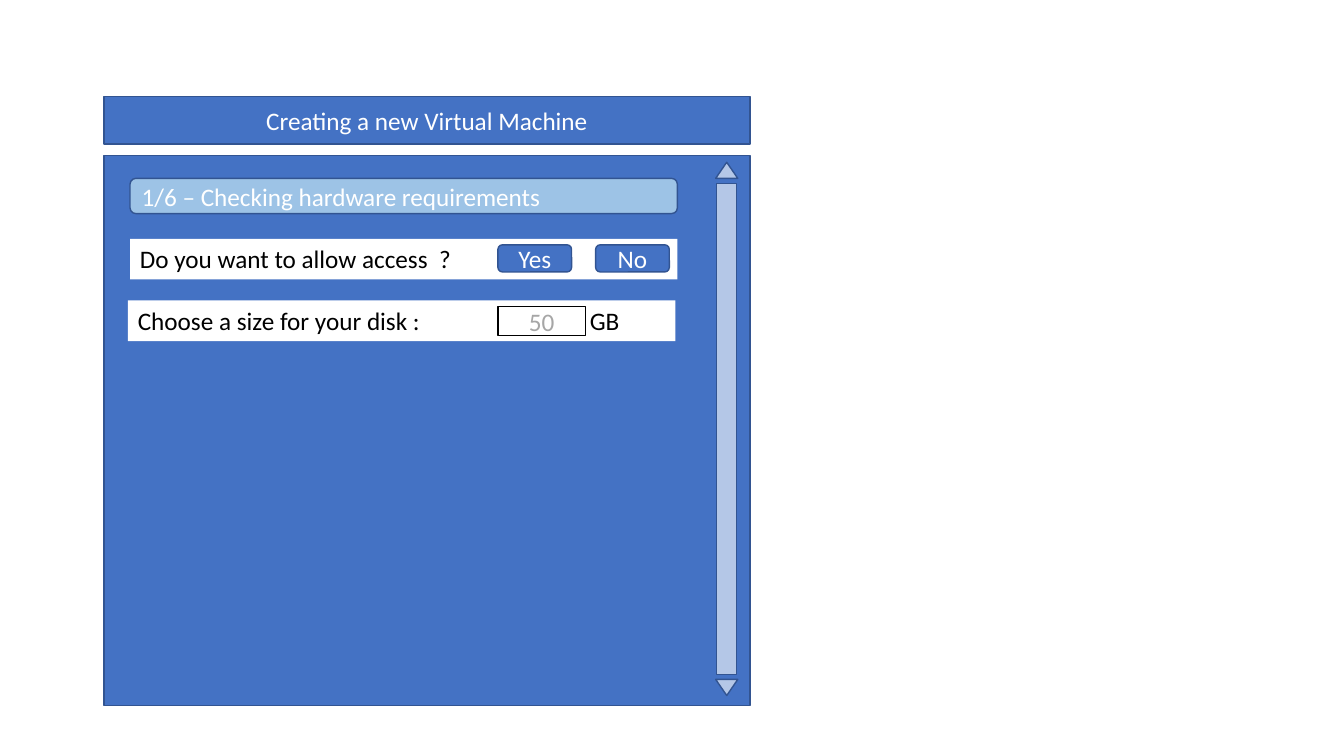
from lxml.etree import SubElement
from pptx import Presentation
from pptx.dml.color import RGBColor
from pptx.enum.shapes import MSO_SHAPE
from pptx.enum.text import MSO_ANCHOR, PP_ALIGN
from pptx.oxml.ns import qn
from pptx.util import Pt

BLUE = RGBColor(0x44, 0x72, 0xC4)
EDGE = RGBColor(0x32, 0x54, 0x91)
PALE = RGBColor(0xB4, 0xC7, 0xE7)
SKY = RGBColor(0x9D, 0xC3, 0xE6)
WHITE = RGBColor(0xFF, 0xFF, 0xFF)
BLACK = RGBColor(0, 0, 0)
GREY = RGBColor(0xA6, 0xA6, 0xA6)

RECT, ROUND = MSO_SHAPE.RECTANGLE, MSO_SHAPE.ROUNDED_RECTANGLE
ROW_H = 29


def add_box(slide, kind, box, fill, edge=EDGE):
    """Add a filled shape at box: left, top, width, height in points."""
    shape = slide.shapes.add_shape(kind, *map(Pt, box))
    shape.shadow.inherit = False
    shape.fill.solid()
    shape.fill.fore_color.rgb = fill
    if edge is None:
        shape.line.fill.background()
    else:
        shape.line.color.rgb = edge
        shape.line.width = Pt(1)
    return shape


def add_text(shape, text, color=WHITE, align=PP_ALIGN.CENTER,
             anchor=MSO_ANCHOR.MIDDLE):
    frame = shape.text_frame
    frame.word_wrap = True
    frame.vertical_anchor = anchor
    para = frame.paragraphs[0]
    para.alignment = align
    run = para.add_run()
    run.text = text
    run.font.name = "Calibri"
    run.font.size = Pt(18)
    run.font.color.rgb = color
    return para


def add_row(slide, box, text):
    """Add a white form row with its label at the top left."""
    row = add_box(slide, RECT, box, WHITE, None)
    return add_text(row, text, BLACK, PP_ALIGN.LEFT, MSO_ANCHOR.TOP)


def set_tab(para, pos):
    props = para._p.get_or_add_pPr()
    tabs = SubElement(props, qn("a:tabLst"))
    SubElement(tabs, qn("a:tab"), pos=str(Pt(pos)), algn="l")


def add_scroll(slide, box):
    """Add a scroll bar: a track between an up and a down arrow."""
    left, top, width, height = box
    tip = 11.5
    gap = 3.6
    track = (left + 0.7, top + tip + gap, width - 1.4,
             height - 2 * (tip + gap))
    add_box(slide, RECT, track, PALE)
    for y, turn in ((top, 0), (top + height - tip, 180)):
        arrow = add_box(slide, MSO_SHAPE.ISOSCELES_TRIANGLE,
                        (left, y, width, tip), PALE)
        arrow.rotation = turn


def add_access(slide, box):
    """Add the access question with its two buttons."""
    left, top = box[:2]
    add_row(slide, box, "Do you want to allow access  ?")
    for i, word in enumerate(("Yes", "No")):
        spot = (left + 262.8 + i * 69.8, top + 4.3, 52.6, 19.4)
        add_text(add_box(slide, ROUND, spot, BLUE), word)


def add_disk(slide, box):
    """Add the disk size row with its entry field and unit."""
    left, top = box[:2]
    set_tab(add_row(slide, box, "Choose a size for your disk :\tGB"), 322.8)
    field = add_box(slide, RECT, (left + 264.3, top + 4.3, 62.6, 20.9),
                    WHITE, BLACK)
    add_text(field, "50", GREY)


def add_body(slide, box):
    left, top, width, height = box
    add_box(slide, RECT, box, BLUE)
    add_scroll(slide, (left + width - 24.5, top + 5, 15.8, height - 12.2))
    wide = 391
    step = add_box(slide, ROUND, (left + 18.7, top + 16.5, wide, 25.2), SKY)
    add_text(step, "1/6 – Checking hardware requirements",
             align=PP_ALIGN.LEFT)
    add_access(slide, (left + 18.7, top + 59.7, wide, ROW_H))
    add_disk(slide, (left + 17.2, top + 103.7, wide, ROW_H))


def add_window(slide, box):
    """Add the title bar and, below a gap, the body."""
    left, top, width, height = box
    bar = add_box(slide, RECT, (left, top, width, 33.8), BLUE)
    add_text(bar, "Creating a new Virtual Machine")
    drop = 41.8
    add_body(slide, (left, top + drop, width, height - drop))


def main():
    deck = Presentation()
    deck.slide_width, deck.slide_height = Pt(960), Pt(540)
    slide = deck.slides.add_slide(deck.slide_layouts[6])
    add_window(slide, (74.2, 69.1, 461.5, 434.9))
    deck.save("out.pptx")


if __name__ == "__main__":
    main()
